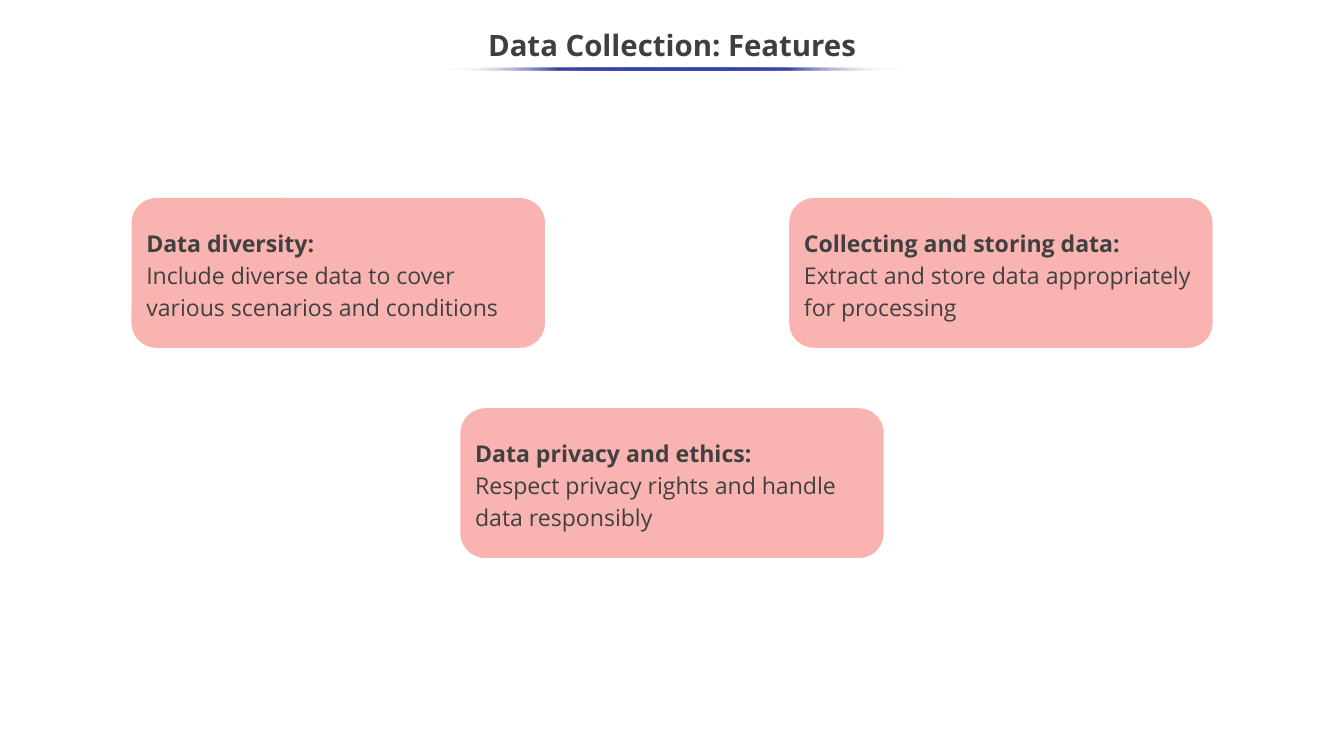
import pptx
import pptx.dml.color
import pptx.enum.shapes
import pptx.enum.text
import pptx.oxml
import pptx.oxml.ns
import pptx.util

Pt = pptx.util.Pt
MSO_SHAPE = pptx.enum.shapes.MSO_SHAPE
PP_ALIGN = pptx.enum.text.PP_ALIGN
MSO_ANCHOR = pptx.enum.text.MSO_ANCHOR


def rgb(value):
    return pptx.dml.color.RGBColor.from_string(value)


def set_font(p, size, color, bold):
    for r in p.runs:
        r.font.name = "Open Sans"
        r.font.size = Pt(size)
        r.font.bold = bold
        r.font.color.rgb = rgb(color)


prs = pptx.Presentation()
prs.slide_width, prs.slide_height = Pt(1280), Pt(720)
s = prs.slides.add_slide(prs.slide_layouts[5])

# Title
title = s.shapes.title
title.left, title.top, title.width, title.height = Pt(-0.8), Pt(18), Pt(1281.6), Pt(54)
tf = title.text_frame
tf.text = "Data Collection: Features"
tf.word_wrap = True
tf.vertical_anchor = MSO_ANCHOR.MIDDLE
p = tf.paragraphs[0]
p.alignment = PP_ALIGN.CENTER
p.line_spacing = 0.9
set_font(p, 28, "3F3F3F", True)

# Feature cards: left, top, width, heading, description
cards = [
    (125.3, 188.6, 393.8, "Data diversity:",
     "Include diverse data to cover various scenarios and conditions"),
    (438.5, 388.8, 403.2, "Data privacy and ethics:",
     "Respect privacy rights and handle data responsibly"),
    (751.7, 188.6, 403.2, "Collecting and storing data:",
     "Extract and store data appropriately for processing"),
]
for left, top, width, heading, description in cards:
    sp = s.shapes.add_shape(MSO_SHAPE.ROUNDED_RECTANGLE,
                            Pt(left), Pt(top), Pt(width), Pt(142.6))
    sp.shadow.inherit = False
    sp.fill.solid()
    sp.fill.fore_color.rgb = rgb("F9B4B1")
    sp.line.fill.background()
    tf = sp.text_frame
    tf.text = heading + "\n" + description
    tf.word_wrap = True
    tf.vertical_anchor = MSO_ANCHOR.MIDDLE
    for p, bold in zip(tf.paragraphs, (True, False)):
        p.alignment = PP_ALIGN.LEFT
        p.line_spacing = 1.15
        set_font(p, 22, "404040", bold)

# Title underline, fading out at both ends
underline = s.shapes.add_shape(MSO_SHAPE.OVAL, Pt(421.2), Pt(64.2), Pt(437.8), Pt(3.2))
underline.shadow.inherit = False
underline.line.fill.background()
underline.fill.gradient()
underline.fill.gradient_angle = 180
stops = underline.fill._fill._gradFill.find(pptx.oxml.ns.qn("a:gsLst"))
for stop in list(stops):
    stops.remove(stop)
for position, color, alpha in [(0, "FFFFFF", 0), (25, "3645A9", 100), (50, "3645A9", 100),
                               (75, "3645A9", 100), (100, "FFFFFF", 0)]:
    stops.append(pptx.oxml.parse_xml(
        f'<a:gs {pptx.oxml.ns.nsdecls("a")} pos="{position * 1000}">'
        f'<a:srgbClr val="{color}"><a:alpha val="{alpha * 1000}"/></a:srgbClr></a:gs>'))

prs.save("out.pptx")
